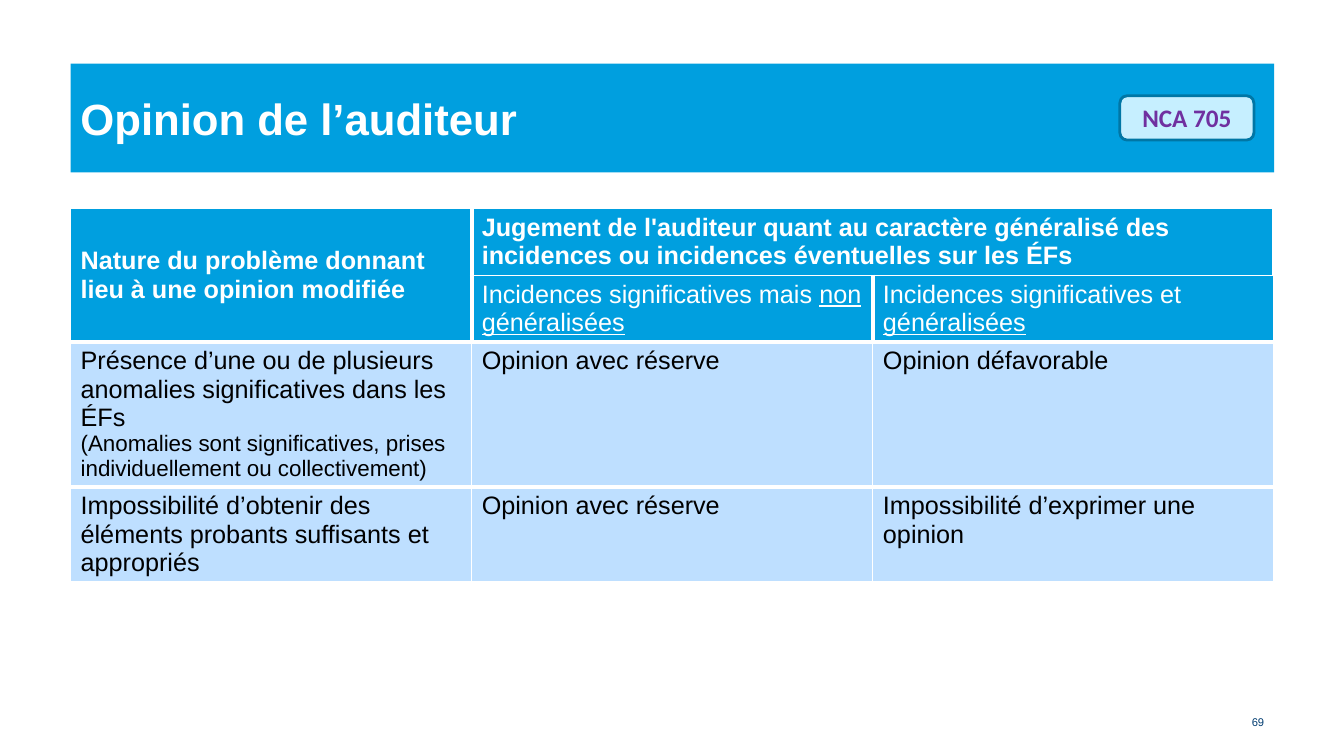
from lxml import etree
from pptx import Presentation
from pptx import util as u
from pptx.dml.color import RGBColor
from pptx.enum import shapes, text
from pptx.oxml.ns import qn

WHITE = RGBColor(0xFF, 0xFF, 0xFF)
BLACK = RGBColor(0x00, 0x00, 0x00)
BLUE = RGBColor(0x00, 0x9F, 0xDF)
PALE_BLUE = RGBColor(0xBE, 0xDF, 0xFF)
BADGE_FILL = RGBColor(0xC6, 0xEF, 0xFF)
BADGE_LINE = RGBColor(0x00, 0x76, 0xA5)
PURPLE = RGBColor(0x70, 0x30, 0xA0)
NAVY = RGBColor(0x00, 0x3C, 0x71)

LEFT, WIDTH = 50.4, 859.7
THIN, THICK = 1, 3
ROW_HEIGHTS = [47.7, 47.7, 103.6, 67.6]
HEADER_ROWS = 2


def add_span(para, words, size, color, bold=False, underline=False, font="Arial"):
    span = para.add_run()
    span.text = words
    span.font.name = font
    span.font.size = u.Pt(size)
    span.font.bold = bold
    span.font.underline = underline
    span.font.color.rgb = color


def add_block(page, kind, box, fill):
    block = page.shapes.add_shape(kind, *[u.Pt(value) for value in box])
    block.shadow.inherit = False
    block.fill.solid()
    block.fill.fore_color.rgb = fill
    block.line.fill.background()
    block.text_frame.word_wrap = True
    block.text_frame.vertical_anchor = text.MSO_ANCHOR.MIDDLE
    return block


def add_title(page, left, top, width, height):
    bar = add_block(page, shapes.MSO_SHAPE.RECTANGLE, (left, top, width, height), BLUE)
    para = bar.text_frame.paragraphs[0]
    para.alignment = text.PP_ALIGN.LEFT
    add_span(para, "Opinion de l’auditeur", 31.2, WHITE, bold=True)


def add_badge(page, left, top, width, height):
    badge = add_block(page, shapes.MSO_SHAPE.FLOWCHART_ALTERNATE_PROCESS,
                      (left, top, width, height), BADGE_FILL)
    badge.line.color.rgb = BADGE_LINE
    badge.line.width = u.Pt(2)
    para = badge.text_frame.paragraphs[0]
    para.alignment = text.PP_ALIGN.CENTER
    add_span(para, "NCA 705", 18, PURPLE, bold=True, font="Calibri")


def set_borders(cell, widths):
    properties = cell._tc.get_or_add_tcPr()
    for index, (side, width) in enumerate(zip("LRTB", widths)):
        line = etree.Element(qn(f"a:ln{side}"), w=str(u.Pt(width)))
        fill = etree.SubElement(line, qn("a:solidFill"))
        etree.SubElement(fill, qn("a:srgbClr"), val=str(WHITE))
        properties.insert(index, line)


def fill_cell(cell, paragraphs, header):
    for index, spans in enumerate(paragraphs):
        frame = cell.text_frame
        para = frame.paragraphs[0] if index == 0 else frame.add_paragraph()
        for words, size, bold, underline in spans:
            add_span(para, words, size, WHITE if header else BLACK, bold, underline)


def plain(words, size=18, bold=False):
    return [(words, size, bold, False)]


def underlined(words, ending):
    return plain(words) + [(ending, 18, False, True)]


def add_opinion_table(page, left, top, width):
    rows = [
        [[plain("Nature du problème donnant lieu à une opinion modifiée", bold=True)],
         [plain("Jugement de l'auditeur quant au caractère généralisé des incidences "
                "ou incidences éventuelles sur les ÉFs", bold=True)],
         []],
        [[],
         [underlined("Incidences significatives mais ", "non généralisées")],
         [underlined("Incidences significatives et ", "généralisées")]],
        [[plain("Présence d’une ou de plusieurs anomalies significatives dans les ÉFs"),
          plain("(Anomalies sont significatives, prises individuellement ou "
                "collectivement)", 16)],
         [plain("Opinion avec réserve")],
         [plain("Opinion défavorable")]],
        [[plain("Impossibilité d’obtenir des éléments probants suffisants et appropriés")],
         [plain("Opinion avec réserve")],
         [plain("Impossibilité d’exprimer une opinion")]],
    ]
    grid = page.shapes.add_table(len(rows), 3, u.Pt(left), u.Pt(top), u.Pt(width),
                                 u.Pt(sum(ROW_HEIGHTS))).table
    grid.horz_banding = False
    for row, height in zip(grid.rows, ROW_HEIGHTS):
        row.height = u.Pt(height)
    for column in grid.columns:
        column.width = u.Pt(width / 3)
    for r, row in enumerate(rows):
        header = r < HEADER_ROWS
        for c, paragraphs in enumerate(row):
            cell = grid.cell(r, c)
            cell.fill.solid()
            cell.fill.fore_color.rgb = BLUE if header else PALE_BLUE
            fill_cell(cell, paragraphs, header)
            set_borders(cell, (THICK if header and c > 0 else THIN,
                               THICK if header and c < 2 else THIN,
                               THICK if r >= HEADER_ROWS else THIN,
                               THICK if r in (1, 2) else THIN))
    grid.cell(0, 0).merge(grid.cell(1, 0))
    grid.cell(0, 1).merge(grid.cell(0, 2))
    grid.cell(0, 0).vertical_anchor = text.MSO_ANCHOR.MIDDLE


def add_page_number(page, left, top, width, height):
    box = page.shapes.add_textbox(u.Pt(left), u.Pt(top), u.Pt(width), u.Pt(height))
    frame = box.text_frame
    frame.word_wrap = True
    frame.vertical_anchor = text.MSO_ANCHOR.MIDDLE
    para = frame.paragraphs[0]
    para.alignment = text.PP_ALIGN.RIGHT
    add_span(para, "69", 8, NAVY)


def main():
    deck = Presentation()
    deck.slide_width, deck.slide_height = u.Pt(960), u.Pt(540)
    page = deck.slides.add_slide(deck.slide_layouts[6])
    add_title(page, LEFT, 45.4, WIDTH, 77.8)
    add_opinion_table(page, LEFT, 149, WIDTH)
    add_page_number(page, 861.1, 509, 49, 13)
    add_badge(page, 799.9, 68.4, 95.8, 31.7)
    deck.save("out.pptx")


if __name__ == "__main__":
    main()
